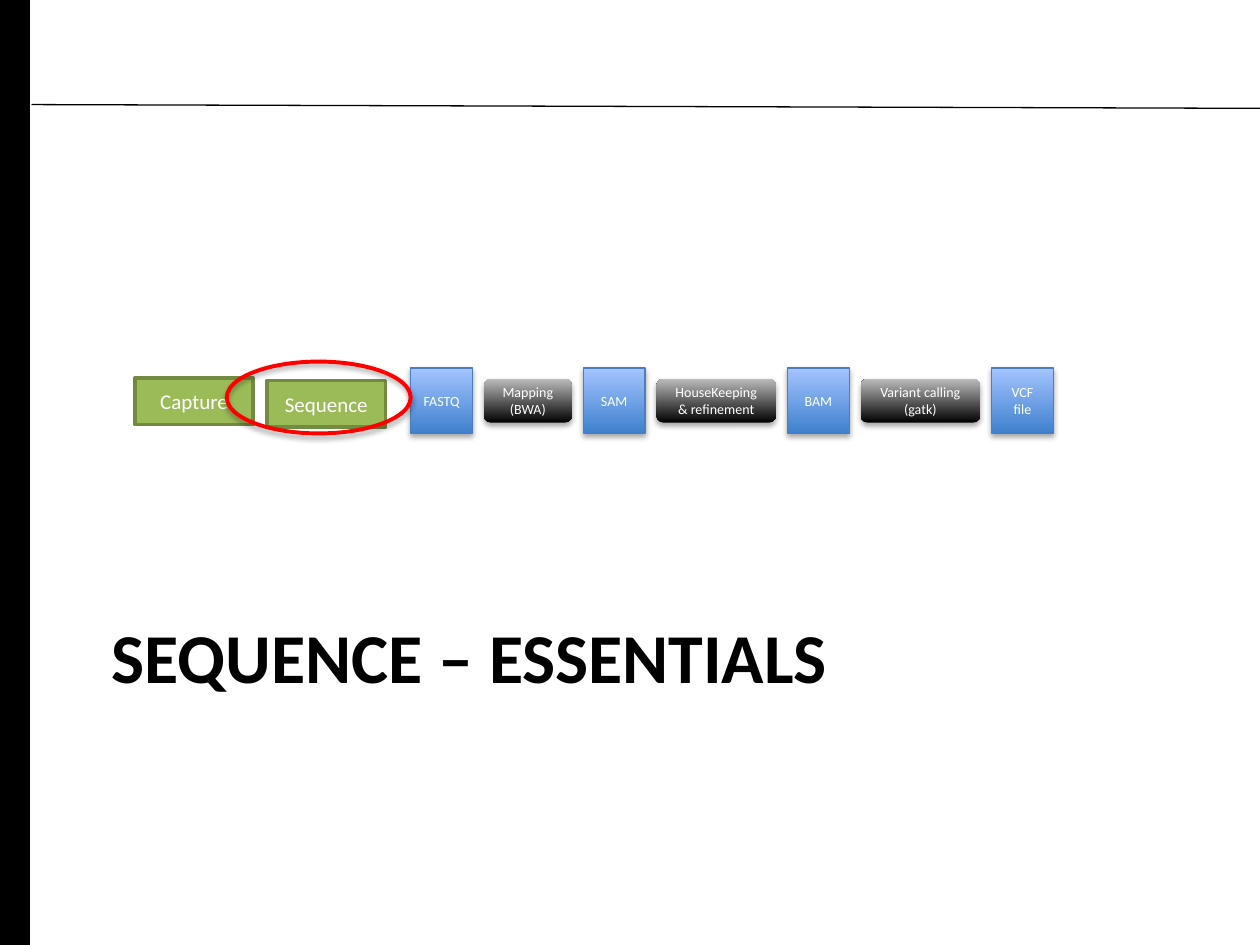
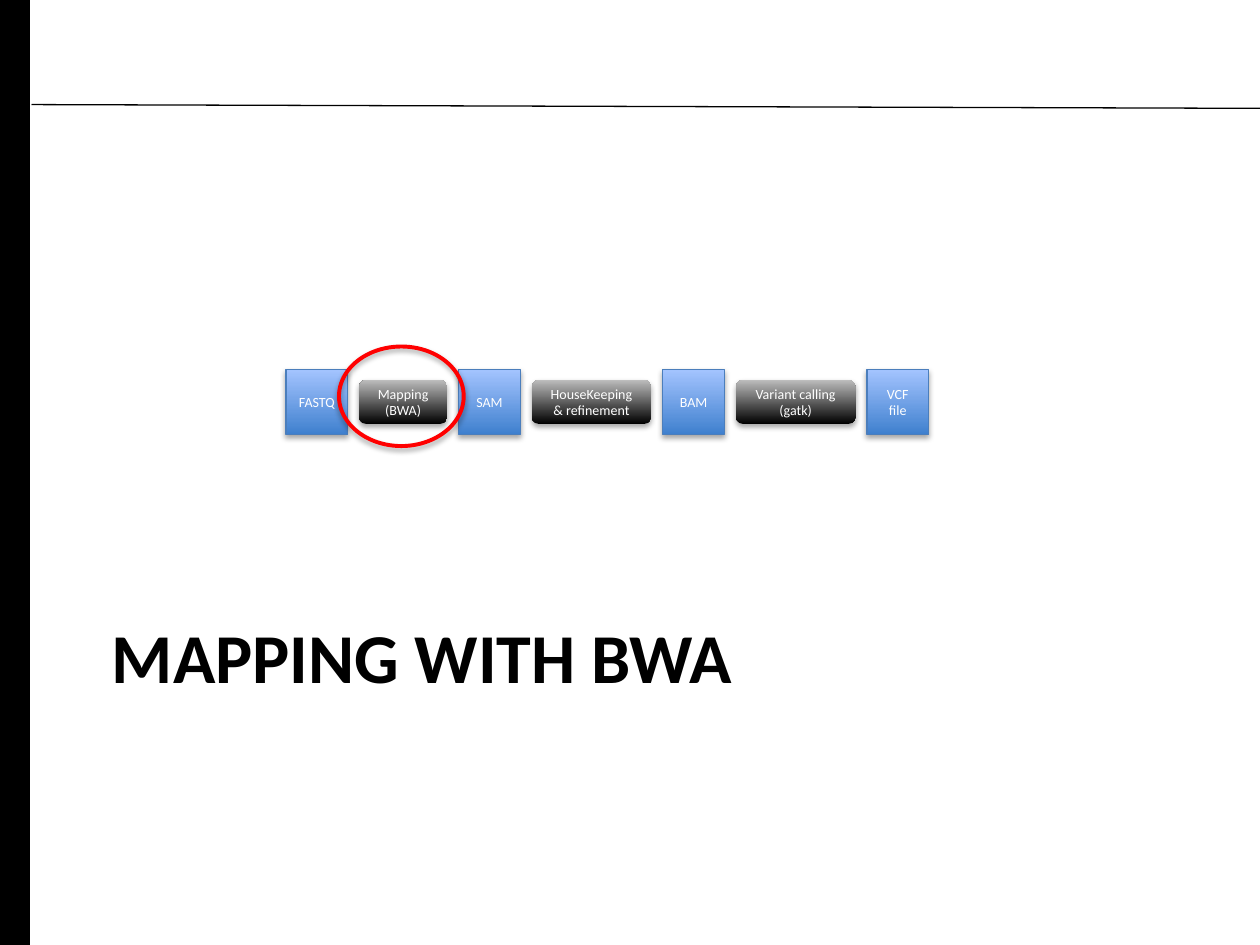
from lxml import etree
from pptx import Presentation
from pptx.dml.color import RGBColor
from pptx.enum.shapes import MSO_CONNECTOR, MSO_SHAPE
from pptx.enum.text import MSO_ANCHOR, PP_ALIGN
from pptx.oxml.ns import qn
from pptx.util import Inches, Pt

RECT, ROUND, OVAL = MSO_SHAPE.RECTANGLE, MSO_SHAPE.ROUNDED_RECTANGLE, MSO_SHAPE.OVAL
STRAIGHT = MSO_CONNECTOR.STRAIGHT
CENTER, LEFT = PP_ALIGN.CENTER, PP_ALIGN.LEFT
MIDDLE, TOP = MSO_ANCHOR.MIDDLE, MSO_ANCHOR.TOP

FONT = "Calibri"
COLORS = {
    "ink": "000000", "paper": "FFFFFF", "ring": "FF0000",
    "file_low": "3F80CE", "file_high": "A4C4FF", "file_edge": "4B7EBC",
    "tool_low": "000000", "tool_high": "BDBDBD",
    "lab": "9BBB59", "lab_edge": "738A42",
}

# The slide is a grid of 10 columns and 7.5 rows
WIDTH, HEIGHT = Inches(10), Inches(7.5)
COL, ROW = WIDTH / 10, HEIGHT / 7.5

# Pipeline steps: kind, label, width in columns
STEPS = [
    ("file", "FASTQ", 0.49), ("tool", "Mapping\v(BWA)", 0.7),
    ("file", "SAM", 0.49), ("tool", "HouseKeeping\v& refinement", 0.95),
    ("file", "BAM", 0.49), ("tool", "Variant calling\v(gatk)", 0.95),
    ("file", "VCF file", 0.49),
]
GAP = 0.09
FILE_ROWS, TOOL_ROWS = 0.52, 0.35


def rgb(name):
    return RGBColor.from_string(COLORS[name])


def place(x, y, w, h):
    return [round(v) for v in (x * COL, y * ROW, w * COL, h * ROW)]


def add_shadow(shape):
    effects = shape._element.spPr.find(qn("a:effectLst"))
    outer = etree.SubElement(effects, qn("a:outerShdw"), blurRad="40000",
                             dist="23000", dir="5400000", rotWithShape="0")
    color = etree.SubElement(outer, qn("a:srgbClr"), val=COLORS["ink"])
    etree.SubElement(color, qn("a:alpha"), val="35000")


def add_box(shapes, kind, box, fill=None, edge=None, weight=0.75, shade=False):
    """Fill is None, one color name, or a (bottom, top) gradient pair."""
    shape = shapes.add_shape(kind, *place(*box))
    shape.shadow.inherit = False
    if fill is None:
        shape.fill.background()
    elif isinstance(fill, tuple):
        shape.fill.gradient()
        shape.fill.gradient_angle = 90
        for stop, name in zip(shape.fill.gradient_stops, fill):
            stop.color.rgb = rgb(name)
    else:
        shape.fill.solid()
        shape.fill.fore_color.rgb = rgb(fill)
    if edge:
        shape.line.color.rgb = rgb(edge)
        shape.line.width = Pt(weight)
    else:
        shape.line.fill.background()
    if shade:
        add_shadow(shape)
    return shape


def write(shape, text, size, color="paper", align=CENTER, anchor=MIDDLE,
          bold=False, inset=0.1):
    frame = shape.text_frame
    frame.word_wrap = True
    frame.vertical_anchor = anchor
    frame.margin_left = frame.margin_right = Inches(inset)
    frame.text = text
    para = frame.paragraphs[0]
    para.alignment = align
    for run in para.runs:
        font = run.font
        font.name, font.size, font.bold = FONT, Pt(size), bold
        font.color.rgb = rgb(color)


def add_frame(slide):
    """Side band and top rule."""
    add_box(slide.shapes, RECT, (-0.01, 0, 0.24, 7.5), "ink", "ink")
    x, y, end_x, end_y = place(0.25, 0.83, 10.01, 0.86)
    rule = slide.shapes.add_connector(STRAIGHT, x, y, end_x, end_y)
    rule.line.color.rgb = rgb("ink")
    rule.line.width = Pt(0.75)
    etree.SubElement(rule._element.spPr, qn("a:effectLst"))


def add_title(slide, text):
    box = slide.shapes.add_textbox(*place(0.79, 4.82, 8.5, 1.49))
    write(box, text, 40, "ink", LEFT, TOP, bold=True)


def add_flow(slide, x, y):
    """Row of file and tool steps, centred on one line."""
    shapes = slide.shapes.add_group_shape().shapes
    for kind, label, width in STEPS:
        if kind == "file":
            box = add_box(shapes, RECT, (x, y, width, FILE_ROWS),
                          ("file_low", "file_high"), "file_edge", shade=True)
        else:
            drop = (FILE_ROWS - TOOL_ROWS) / 2
            box = add_box(shapes, ROUND, (x, y + drop, width, TOOL_ROWS),
                          ("tool_low", "tool_high"), shade=True)
        write(box, label, 8, inset=0.09)
        x += width + GAP


def add_lab(slide, label, x, y):
    box = add_box(slide.shapes, RECT, (x, y, 0.94, 0.37), "lab", "lab_edge", 2)
    write(box, label, 12)


def add_ring(slide, *box):
    add_box(slide.shapes, OVAL, box, edge="ring", weight=2.25, shade=True)


def add_slide(deck, title, x, y):
    slide = deck.slides.add_slide(deck.slide_layouts[6])
    add_frame(slide)
    add_title(slide, title)
    add_flow(slide, x, y)
    return slide


def main():
    deck = Presentation()
    deck.slide_width, deck.slide_height = WIDTH, HEIGHT

    # Sequencing section
    slide = add_slide(deck, "SEQUENCE – ESSENTIALS", 3.26, 2.92)
    add_lab(slide, "Capture", 1.07, 3)
    add_lab(slide, "Sequence", 2.12, 3.02)
    add_ring(slide, 1.8, 2.87, 1.46, 0.57)

    # Mapping section
    slide = add_slide(deck, "MAPPING WITH BWA", 2.27, 2.93)
    add_ring(slide, 2.69, 2.75, 0.99, 0.79)

    deck.save("out.pptx")


if __name__ == "__main__":
    main()
